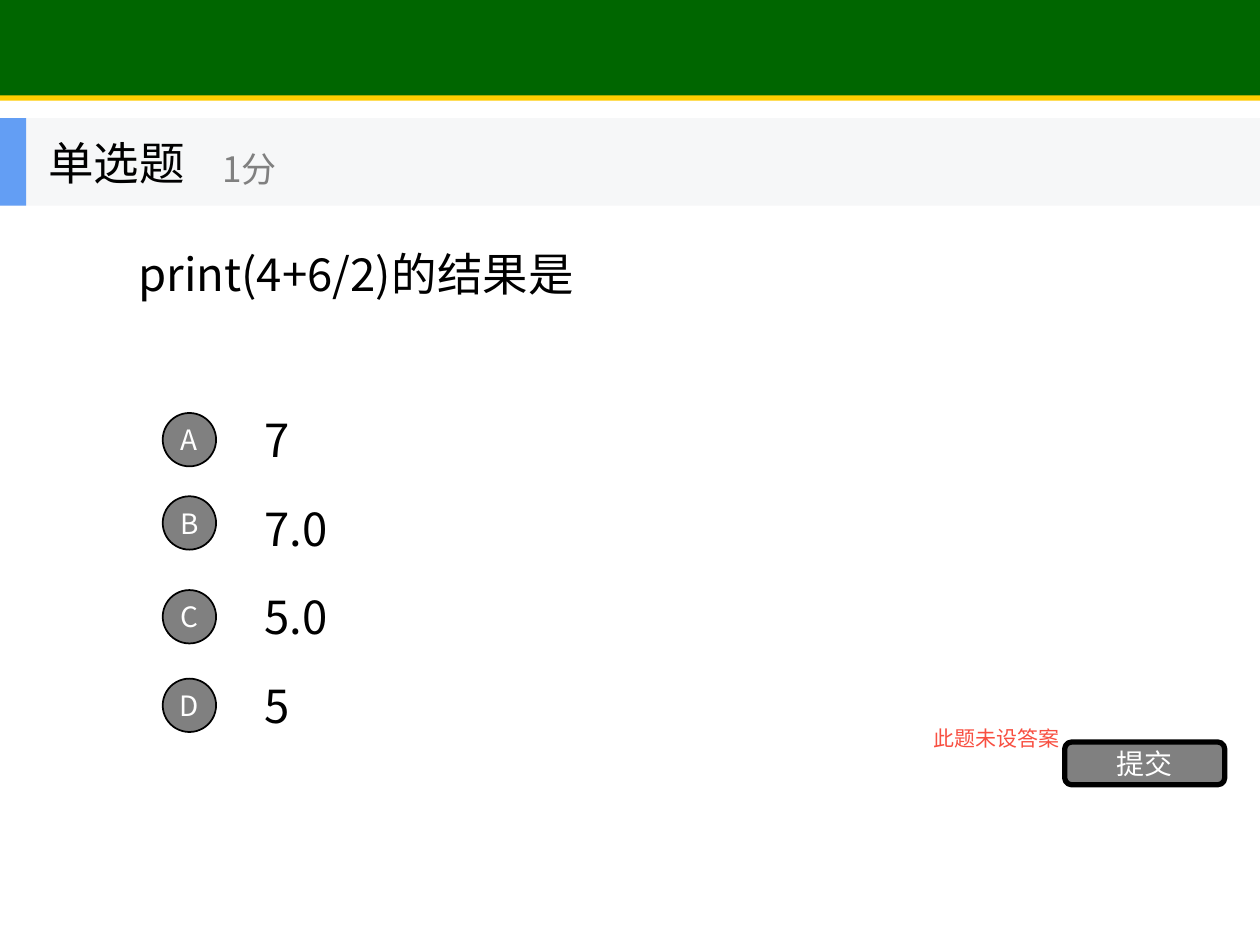
from lxml.etree import SubElement
from pptx import Presentation
from pptx.dml.color import RGBColor
from pptx.enum.shapes import MSO_SHAPE as Shape
from pptx.enum.text import MSO_ANCHOR as Anchor, PP_ALIGN as Align
from pptx.oxml.ns import qn
from pptx.util import Pt

FONT = "Noto Sans CJK SC"
BLACK, GREY, WHITE = "000000", "808080", "FFFFFF"


def color(value):
    """Turn a hex string into a colour."""
    return RGBColor.from_string(value)


def write(shape, text, size, ink, align=Align.LEFT):
    """Put one vertically centred line of text into a shape."""
    frame = shape.text_frame
    frame.word_wrap = True
    frame.vertical_anchor = Anchor.MIDDLE
    para = frame.paragraphs[0]
    para.text = text
    para.alignment = align
    font = para.font
    font.name, font.size = FONT, Pt(size)
    font.color.rgb = color(ink)
    defaults = para._p.pPr.find(qn("a:defRPr"))
    SubElement(defaults, qn("a:ea")).set("typeface", FONT)


def add_label(page, left, top, width, height, text, size, ink=BLACK):
    """Add a text box with one line."""
    box = page.shapes.add_textbox(Pt(left), Pt(top), Pt(width), Pt(height))
    write(box, text, size, ink)


def add_block(page, kind, left, top, width, height, fill, border=0):
    """Add a filled shape, with a black border if a width is given."""
    block = page.shapes.add_shape(kind, Pt(left), Pt(top), Pt(width), Pt(height))
    block.shadow.inherit = False
    block.fill.solid()
    block.fill.fore_color.rgb = color(fill)
    if border:
        block.line.color.rgb = color(BLACK)
        block.line.width = Pt(border)
    else:
        block.line.fill.background()
    return block


def add_button(page, kind, left, top, width, height, text, border):
    """Add a grey shape with a centred white caption."""
    button = add_block(page, kind, left, top, width, height, GREY, border)
    frame = button.text_frame
    frame.margin_left = frame.margin_right = 0
    frame.margin_top = frame.margin_bottom = 0
    write(button, text, 16, WHITE, Align.CENTER)


def add_banner(page, left, top, width, height):
    """Add the green banner with its yellow rule."""
    add_block(page, Shape.RECTANGLE, left, top, width, height, "006600")
    add_block(page, Shape.RECTANGLE, left, top + height - 2.5, width, 3, "FFCC00")


def add_heading(page, left, top, width, height):
    """Add the strip with the question type and its score."""
    add_block(page, Shape.RECTANGLE, left, top, width, height, "F6F7F8")
    add_block(page, Shape.RECTANGLE, left, top, 15, height, "639EF4")
    add_label(page, left + 20.4, top, 150, height, "单选题", 26)
    add_label(page, left + 120, top + 8.8, 180, 40.4, "1分", 20, GREY)


def add_options(page, left, top, pitch, options):
    """Add lettered answers; each has its badge's offset from the row top."""
    for row, (letter, answer, offset) in enumerate(options):
        row_top = top + row * pitch
        add_label(page, left + 51, row_top, 504, 38, answer, 26)
        add_button(page, Shape.OVAL, left, row_top + offset, 30.5, 30.5, letter, 1)


def add_submit(page, left, top, width, height):
    """Add the submit button and the warning to its left."""
    add_button(page, Shape.ROUNDED_RECTANGLE, left, top, width, height, "提交", 3)
    add_label(page, left - 82, top - 16.5, 90, 29, "此题未设答案", 12, "F84F41")


def main():
    """Build the quiz slide."""
    deck = Presentation()
    deck.slide_width, deck.slide_height = Pt(720), Pt(540)
    page = deck.slides.add_slide(deck.slide_layouts[6])
    add_banner(page, 0, 0, 720, 57)
    add_label(page, 72, 93, 576, 126.5, "print(4+6/2)的结果是", 26)
    options = [("A", "7", 4), ("B", "7.0", 1), ("C", "5.0", 4), ("D", "5", 4)]
    add_options(page, 93, 232, 50.6, options)
    add_heading(page, 0, 67.5, 720, 50)
    add_submit(page, 608.4, 424, 91.5, 24.5)
    deck.save("out.pptx")


if __name__ == "__main__":
    main()
